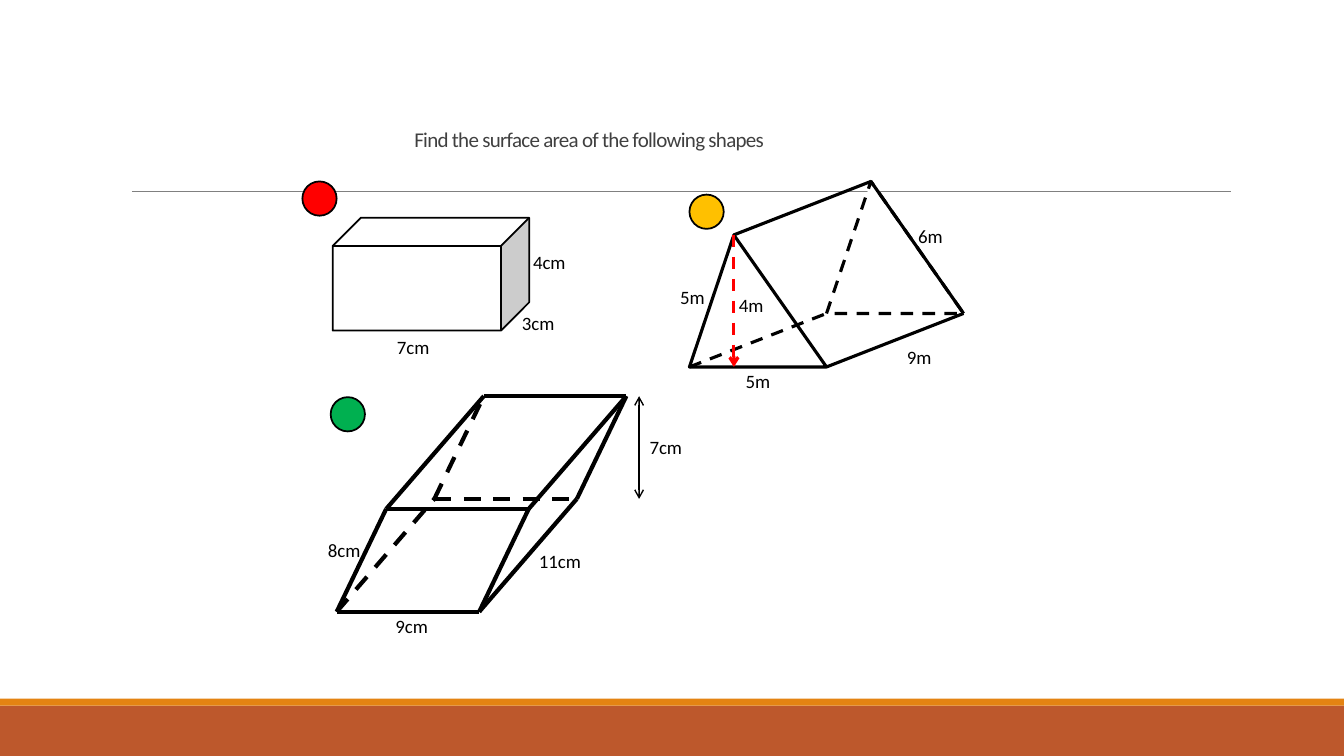
"""Build a slide of three solids whose surface areas are to be found."""
from dataclasses import dataclass
from itertools import combinations, product

from lxml.etree import SubElement
from pptx import Presentation
from pptx.dml.color import RGBColor as RGB
from pptx.enum.dml import MSO_LINE
from pptx.enum.shapes import MSO_CONNECTOR as LINK, MSO_SHAPE as SHAPE
from pptx.enum.text import MSO_ANCHOR as ANCHOR, MSO_AUTO_SIZE as FIT, PP_ALIGN as ALIGN
from pptx.oxml.ns import qn
from pptx.util import Pt


@dataclass(frozen=True)
class Theme:
    font: str = "Calibri"
    title_size: float = 15
    label_size: float = 13.5
    title: str = "404040"
    ink: str = "000000"
    paper: str = "FFFFFF"
    rule: str = "808080"
    height: str = "FF0000"
    footer: str = "BD582C"
    stripe: str = "E48312"
    thin: float = 1.25
    medium: float = 2.25
    thick: float = 3


T = Theme()
TITLE = "Find the surface area of the following shapes"
TITLE_BOX = (288.7, 83.5, 434.2, 28.8)
BANDS = [(T.footer, (0, 504, 960, 36)), (T.stripe, (0, 499, 960, 5))]
RULE = ((94.3, 136.8), (879.1, 136.8))
CUBOID = (237.6, 155.5, 140.4, 80.6)
MARKERS = [("FF0000", 216, 129.6), ("FFC000", 492.5, 139), ("00B050", 236.2, 283.7)]
MARKER_SIZE = 24.5
LABEL_WIDTH, LABEL_HEIGHT = 72, 23.8
CUBOID_LABELS = [("7cm", 295.2, 236.2), ("3cm", 384.5, 218.9), ("4cm", 392.4, 175.7)]
PRISM_LABELS = [("5m", 541.4, 260.6), ("9m", 656.6, 243.4), ("6m", 664.6, 157),
                ("5m", 494.6, 200.2)]
HEIGHT_LABEL = ("4m", 545.1, 205.9)
SLANT_LABELS = [("9cm", 294.1, 435.6), ("8cm", 245.9, 380.9), ("11cm", 400, 388.8),
                ("7cm", 475.6, 307.4)]
PRISM = {"left": 492.5, "top": 167.8, "width": 97.9, "height": 94.3,
         "peak": 0.324, "depth": (97.9, -38.2)}
SLANT_ORIGIN = (240.5, 437)
SLANT_SIDES = ((101.8, 0), (35.3, -73.4), (69.8, -80.7))
HIDDEN_CORNER = (0, 0, 1)
SLANT_HEIGHT = ((456.5, 283), (456.5, 356.4))


def apply(target, values):
    for name, value in values.items():
        setattr(target, name, value)


def style_font(font, size, color):
    apply(font, {"name": T.font, "size": Pt(size), "bold": False})
    font.color.rgb = RGB.from_string(color)


def style_line(line, color, width, dashed=False):
    line.width = Pt(width)
    line.color.rgb = RGB.from_string(color)
    if dashed:
        line.dash_style = MSO_LINE.DASH


def add_solid(shapes, kind, box, fill, width=0, dashed=False):
    sp = shapes.add_shape(kind, *map(Pt, box))
    sp.shadow.inherit = False
    sp.fill.solid()
    sp.fill.fore_color.rgb = RGB.from_string(fill)
    if width:
        style_line(sp.line, T.ink, width, dashed)
    else:
        sp.line.fill.background()
    return sp


def add_line(shapes, start, end, width, color=T.ink, dashed=False, arrows=()):
    cx = shapes.add_connector(LINK.STRAIGHT, *map(Pt, (*start, *end)))
    style_line(cx.line, color, width, dashed)
    props = cx._element.spPr
    for tag in arrows:
        SubElement(props.find(qn("a:ln")), qn(f"a:{tag}"), type="arrow")
    SubElement(props, qn("a:effectLst"))


def add_label(shapes, text, center, top, width=LABEL_WIDTH, align=ALIGN.CENTER):
    sp = shapes.add_textbox(*map(Pt, (center - width / 2, top, width, LABEL_HEIGHT)))
    tf = sp.text_frame
    apply(tf, {"word_wrap": True, "auto_size": FIT.SHAPE_TO_FIT_TEXT})
    p = tf.paragraphs[0]
    p.alignment = align
    r = p.add_run()
    r.text = text
    style_font(r.font, T.label_size, T.ink)


def add_title(s):
    sp = s.shapes.title
    apply(sp, dict(zip(("left", "top", "width", "height"), map(Pt, TITLE_BOX))))
    tf = sp.text_frame
    apply(tf, {"word_wrap": True, "auto_size": FIT.NONE, "vertical_anchor": ANCHOR.BOTTOM})
    p = tf.paragraphs[0]
    apply(p, {"alignment": ALIGN.LEFT, "line_spacing": 0.85})
    r = p.add_run()
    r.text = TITLE
    style_font(r.font, T.title_size, T.title)
    r.font._element.set("spc", "-50")


def add_triangular_prism(shapes):
    left, top, width, height, peak, (dx, dy) = PRISM.values()
    for x, y, dashed in ((left, top, False), (left + dx, top + dy, True)):
        sp = add_solid(shapes, SHAPE.ISOSCELES_TRIANGLE, (x, y, width, height),
                       T.paper, T.medium, dashed)
        sp.adjustments[0] = peak
    apex = (left + peak * width, top)
    base = top + height
    corners = [apex, (left, base), (left + width, base)]
    backs = [(x + dx, y + dy) for x, y in corners]
    for index, (front, back) in enumerate(zip(corners, backs)):
        add_line(shapes, front, back, T.medium, dashed=index == 1)
    add_line(shapes, backs[0], backs[2], T.medium)
    for label in PRISM_LABELS:
        add_label(shapes, *label)
    add_line(shapes, apex, (apex[0], base), T.medium, T.height, True, ["tailEnd"])
    add_label(shapes, *HEIGHT_LABEL, width=49, align=ALIGN.LEFT)


def slant_point(corner):
    return tuple(start + sum(n * side[axis] for n, side in zip(corner, SLANT_SIDES))
                 for axis, start in enumerate(SLANT_ORIGIN))


def add_slanted_prism(shapes):
    for a, b in combinations(product((0, 1), repeat=3), 2):
        if sum(m != n for m, n in zip(a, b)) == 1:
            add_line(shapes, slant_point(a), slant_point(b), T.thick,
                     dashed=HIDDEN_CORNER in (a, b))
    for label in SLANT_LABELS:
        add_label(shapes, *label)
    add_line(shapes, *SLANT_HEIGHT, 1, arrows=["headEnd", "tailEnd"])


def main():
    prs = Presentation()
    apply(prs, {"slide_width": Pt(960), "slide_height": Pt(540)})
    s = prs.slides.add_slide(prs.slide_layouts[5])
    for color, box in BANDS:
        add_solid(s.shapes, SHAPE.RECTANGLE, box, color)
    add_line(s.shapes, *RULE, 0.5, T.rule)
    add_title(s)
    add_solid(s.shapes, SHAPE.CUBE, CUBOID, T.paper, T.thin)
    for label in CUBOID_LABELS:
        add_label(s.shapes, *label)
    add_triangular_prism(s.shapes)
    add_slanted_prism(s.shapes.add_group_shape().shapes)
    for color, left, top in MARKERS:
        add_solid(s.shapes, SHAPE.OVAL, (left, top, MARKER_SIZE, MARKER_SIZE), color, T.thin)
    prs.save("out.pptx")


if __name__ == "__main__":
    main()
